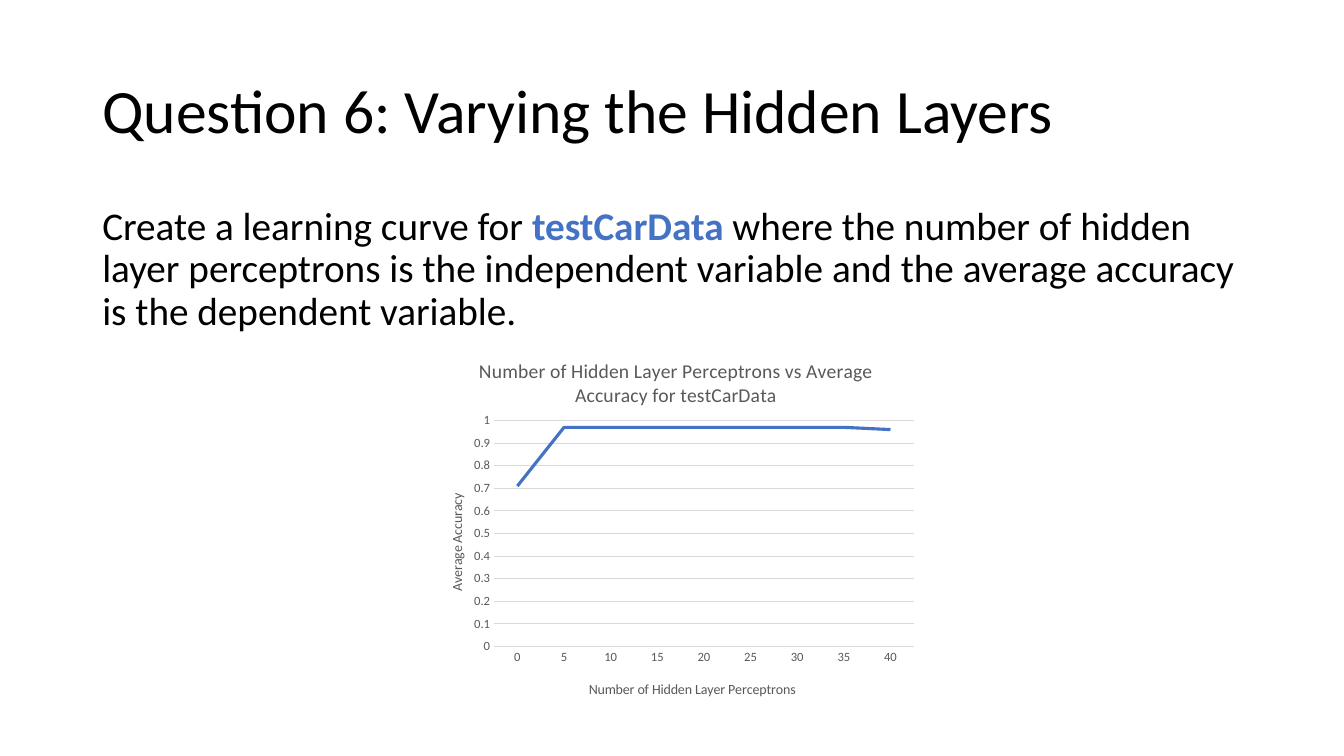
import pptx
import pptx.util
import pptx.chart.data
import pptx.dml.color
import pptx.enum.chart
import pptx.enum.text
import pptx.oxml
import pptx.oxml.ns

Pt = pptx.util.Pt
RGB = pptx.dml.color.RGBColor.from_string

# Content
TITLE = "Question 6: Varying the Hidden Layers"
TASK = [
    ("Create a learning curve for ", False),
    ("testCarData ", True),
    ("where the number of hidden layer perceptrons is the independent variable "
     "and the average accuracy is the dependent variable.", False),
]
CHART_TITLE = "Number of Hidden Layer Perceptrons vs Average Accuracy for testCarData"
X_TITLE = "Number of Hidden Layer Perceptrons"
Y_TITLE = "Average Accuracy"
PERCEPTRONS = [str(n) for n in range(0, 41, 5)]
ACCURACY = [0.71, 0.97, 0.97, 0.97, 0.97, 0.97, 0.97, 0.97, 0.96]

THEME = {
    "font": "Calibri", "text": "000000", "accent": "4472C4",
    "muted": "595959", "grid": "D9D9D9",
    "title": 44, "body": 28, "chart_title": 14, "axis_title": 10, "ticks": 9,
}

# Geometry: left, top, width, height in points
TITLE_BOX = (66, 28.8, 828, 104.4)
TASK_BOX = (66, 144, 828, 342.7)
CHART_BOX = (300, 239, 360, 272)
# Places inside the chart, as fractions of its size
PLOT = {"x": 0.147, "y": 0.226, "w": 0.833, "h": 0.593}
CHART_TITLE_AT = {"x": 0.11, "y": 0.05}
X_TITLE_AT = {"x": 0.33, "y": 0.9}
Y_TITLE_AT = {"x": 0.05, "y": 0.41}


def set_font(font, size, color):
    font.name, font.size, font.bold = THEME["font"], Pt(THEME[size]), False
    font.color.rgb = RGB(THEME[color])


def place(sp, box):
    sp.left, sp.top, sp.width, sp.height = map(Pt, box)


def set_layout(parent, fractions, inner=False):
    """Fix the place of a chart part through c:manualLayout."""
    for old in parent.findall(pptx.oxml.ns.qn("c:layout")):
        parent.remove(old)
    target = '<c:layoutTarget val="inner"/>' if inner else ""
    modes = "".join(f'<c:{k}Mode val="edge"/>' for k in "xy")
    values = "".join(f'<c:{k} val="{v}"/>' for k, v in fractions.items())
    layout = pptx.oxml.parse_xml(
        f'<c:layout {pptx.oxml.ns.nsdecls("c")}><c:manualLayout>'
        f'{target}{modes}{values}</c:manualLayout></c:layout>')
    parent.insert(0 if inner else 1, layout)


def set_title(owner, text, size, at):
    owner.has_title = True
    title = owner.chart_title if hasattr(owner, "chart_title") else owner.axis_title
    p = title.text_frame.paragraphs[0]
    p.text = text
    set_font(p.font, size, "muted")
    set_layout(title._element, at)


prs = pptx.Presentation()
prs.slide_width, prs.slide_height = Pt(960), Pt(540)
s = prs.slides.add_slide(prs.slide_layouts[5])

# Title
sp = s.shapes.title
place(sp, TITLE_BOX)
tf = sp.text_frame
tf.text = TITLE
tf.auto_size = pptx.enum.text.MSO_AUTO_SIZE.NONE
tf.vertical_anchor = pptx.enum.text.MSO_ANCHOR.MIDDLE
p = tf.paragraphs[0]
p.alignment = pptx.enum.text.PP_ALIGN.LEFT
p.line_spacing = 0.9
set_font(p.font, "title", "text")

# Task text
tf = s.shapes.add_textbox(*map(Pt, TASK_BOX)).text_frame
tf.word_wrap = True
p = tf.paragraphs[0]
p.line_spacing, p.space_before = 0.9, Pt(10)
for text, strong in TASK:
    r = p.add_run()
    r.text = text
    set_font(r.font, "body", "accent" if strong else "text")
    r.font.bold = strong

# Learning curve
data = pptx.chart.data.CategoryChartData()
data.categories = PERCEPTRONS
data.add_series("Series 1", ACCURACY)
chart = s.shapes.add_chart(
    pptx.enum.chart.XL_CHART_TYPE.LINE, *map(Pt, CHART_BOX), data).chart
set_font(chart.font, "axis_title", "text")
chart.has_legend = False
set_title(chart, CHART_TITLE, "chart_title", CHART_TITLE_AT)
chart.plots[0].vary_by_categories = False
set_layout(chart._chartSpace.chart.plotArea, PLOT, inner=True)

line = chart.plots[0].series[0]
line.smooth = False
line.format.line.color.rgb = RGB(THEME["accent"])
line.format.line.width = Pt(2.25)
line.marker.style = pptx.enum.chart.XL_MARKER_STYLE.NONE

# Axes
x_axis, y_axis = chart.category_axis, chart.value_axis
for axis, text, at in ((x_axis, X_TITLE, X_TITLE_AT), (y_axis, Y_TITLE, Y_TITLE_AT)):
    set_title(axis, text, "axis_title", at)
    set_font(axis.tick_labels.font, "ticks", "muted")
    axis.major_tick_mark = axis.minor_tick_mark = pptx.enum.chart.XL_TICK_MARK.NONE
y_axis.minimum_scale, y_axis.maximum_scale, y_axis.major_unit = 0, 1, 0.1
y_axis.format.line.fill.background()
for rule in (x_axis.format.line, y_axis.major_gridlines.format.line):
    rule.color.rgb = RGB(THEME["grid"])
    rule.width = Pt(0.75)

prs.save("out.pptx")
